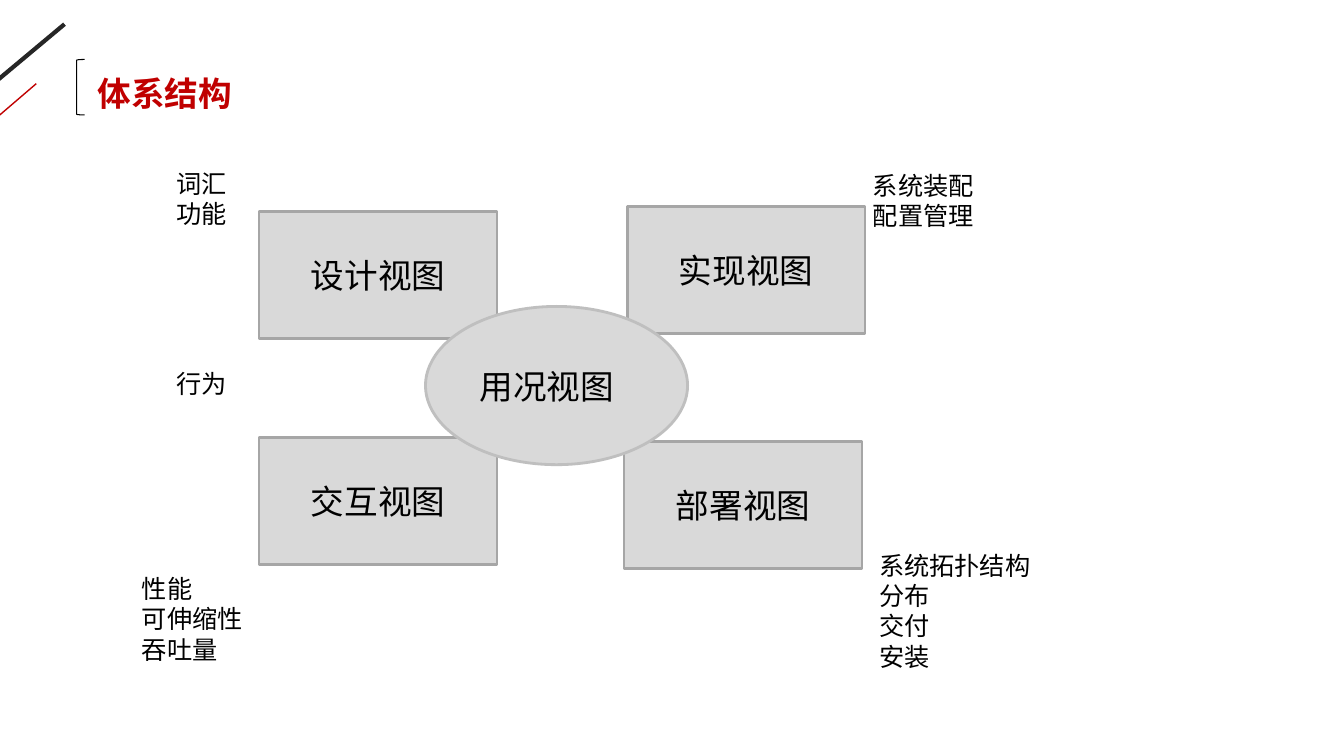
from pptx import Presentation
from pptx.dml.color import RGBColor
from pptx.enum.shapes import MSO_CONNECTOR as Link, MSO_SHAPE as Shape
from pptx.enum.text import MSO_ANCHOR as Anchor, MSO_AUTO_SIZE as Fit, PP_ALIGN as Align
from pptx.oxml.ns import qn
from pptx.util import Pt
from lxml.etree import SubElement

PX = 9144  # 100 px to the inch
FONT = "Arial"
COLORS = {"ink": "000000", "dark": "262626", "red": "C00000",
          "fill": "D9D9D9", "edge": "A6A6A6", "rim": "BFBFBF"}

# from x, from y, to x, to y, color, points
STROKES = [(64, 24, -21, 95, "dark", 3), (36, 83, -6, 119, "red", 1)]
TITLE = ("体系结构", (87, 67, 155, 50))
BRACKET = (76, 59, 8, 55)
BOX = (236, 126)
VIEWS = [("设计视图", 257, 210), ("部署视图", 619, 438),
         ("交互视图", 257, 434), ("实现视图", 622, 205)]
OVAL = (422, 304, 260, 157)
CENTER = ("用况视图", (466, 358, 177, 50))
NOTES = [
    (["词汇", "功能"], (165, 162, 92, 71)),
    (["行为"], (165, 360, 92, 40)),
    (["性能", "可伸缩性", "吞吐量"], (131, 564, 124, 101)),
    (["系统装配", "配置管理"], (856, 164, 189, 71)),
    (["系统拓扑结构", "分布", "交付", "安装"], (862, 541, 206, 131)),
]


def px(*nums):
    return [n * PX for n in nums]


def rgb(name):
    return RGBColor.from_string(COLORS[name])


def write(frame, text, size, color="ink", bold=False, align=Align.LEFT):
    frame.text = text
    for para in frame.paragraphs:
        para.alignment = align
        for run in para.runs:
            font = run.font
            font.name, font.size, font.bold = FONT, Pt(size), bold
            font.color.rgb = rgb(color)


def add_text(slide, text, at, size, wrap=True, **style):
    frame = slide.shapes.add_textbox(*px(*at)).text_frame
    frame.word_wrap = wrap
    frame.auto_size = Fit.SHAPE_TO_FIT_TEXT
    write(frame, text, size, **style)


def add_form(slide, kind, at, edge, width, fill=None):
    form = slide.shapes.add_shape(kind, *px(*at))
    form.shadow.inherit = False
    form.line.color.rgb = rgb(edge)
    form.line.width = Pt(width)
    if fill:
        form.fill.solid()
        form.fill.fore_color.rgb = rgb(fill)
    else:
        form.fill.background()
    return form


def add_stroke(slide, ends, color, width):
    line = slide.shapes.add_connector(Link.STRAIGHT, *px(*ends))
    line.line.color.rgb = rgb(color)
    line.line.width = Pt(width)
    SubElement(line._element.spPr, qn("a:effectLst"))


def main():
    deck = Presentation()
    deck.slide_width, deck.slide_height = px(1333, 750)
    slide = deck.slides.add_slide(deck.slide_layouts[6])

    for *ends, color, width in STROKES:
        add_stroke(slide, ends, color, width)
    add_text(slide, *TITLE, 24, wrap=False, color="red", bold=True)
    add_form(slide, Shape.LEFT_BRACKET, BRACKET, "ink", 0.75)

    for name, left, top in VIEWS:
        box = add_form(slide, Shape.RECTANGLE, (left, top, *BOX), "edge", 2, "fill")
        box.text_frame.vertical_anchor = Anchor.MIDDLE
        write(box.text_frame, name, 24, align=Align.CENTER)
    add_form(slide, Shape.OVAL, OVAL, "rim", 2, "fill")
    add_text(slide, *CENTER, 24)

    for lines, at in NOTES:
        add_text(slide, "\n".join(lines), at, 18)
    deck.save("out.pptx")


if __name__ == "__main__":
    main()
